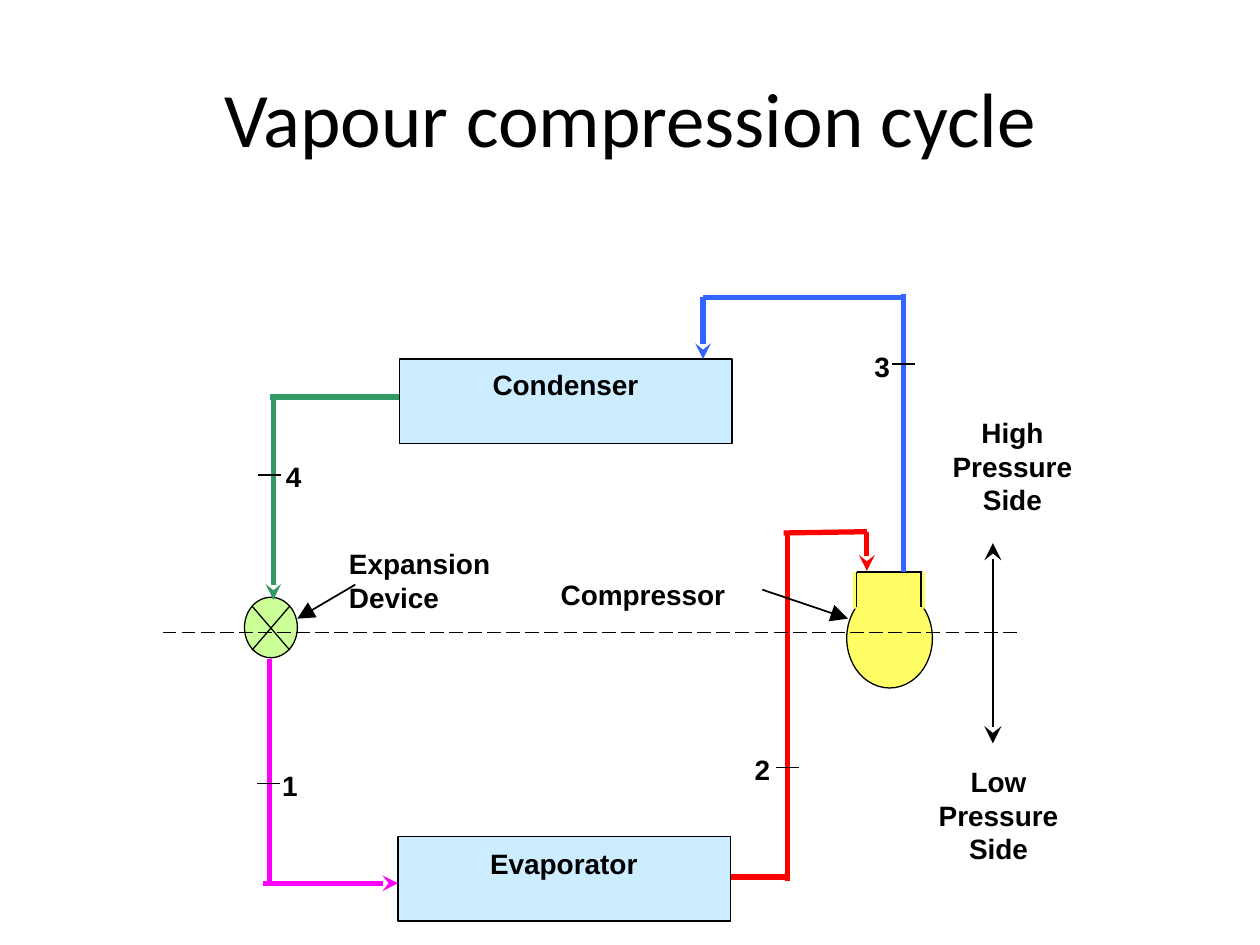
"""Build the vapour compression cycle slide."""
from lxml.etree import SubElement
from pptx import Presentation
from pptx.dml.color import RGBColor
from pptx.enum.dml import MSO_LINE
from pptx.enum.shapes import MSO_CONNECTOR, MSO_SHAPE
from pptx.enum.text import MSO_ANCHOR, PP_ALIGN
from pptx.oxml.ns import qn
from pptx.util import Inches, Pt

BLACK, GREEN, BLUE = "000000", "329865", "3265FF"
RED, MAGENTA = "FF0000", "FF00FF"
ICE, LIME, YELLOW = "CCECFF", "CCFF98", "FFFF65"
LABEL_FONT = {"name": "Arial", "size": Pt(16), "bold": True}
TITLE_FONT = {"name": "Calibri", "size": Pt(44), "bold": False}
NO_MARGINS = {"margin_left": Inches(0.01), "margin_top": 0,
              "margin_right": 0, "margin_bottom": 0, "word_wrap": True}

prs = Presentation()
prs.slide_width, prs.slide_height = Inches(10), Inches(7.5)
slide = prs.slides.add_slide(prs.slide_layouts[6])
shapes = slide.shapes


def add_line(points, color=BLACK, width=0.75, head=None, tail=None, size="med"):
    line = shapes.add_connector(MSO_CONNECTOR.STRAIGHT, *map(Inches, points))
    line.line.color.rgb = RGBColor.from_string(color)
    line.line.width = Pt(width)
    for end, kind in (("a:headEnd", head), ("a:tailEnd", tail)):
        if kind:
            SubElement(line.line._get_or_add_ln(), qn(end), type=kind, w=size, len=size)
    SubElement(line._element.spPr, qn("a:effectLst"))
    return line


def add_text(text, place, font_format, align, anchor=MSO_ANCHOR.TOP):
    frame = shapes.add_textbox(*map(Inches, place)).text_frame
    for key, value in NO_MARGINS.items():
        setattr(frame, key, value)
    frame.vertical_anchor = anchor
    paragraph = frame.paragraphs[0]
    paragraph.alignment = align
    run = paragraph.add_run()
    run.text = text
    for key, value in font_format.items():
        setattr(run.font, key, value)
    run.font.color.rgb = RGBColor.from_string(BLACK)
    return paragraph


add_text("Vapour compression cycle", (0.5, 0.3, 9, 1.25), TITLE_FONT,
         PP_ALIGN.CENTER, MSO_ANCHOR.MIDDLE)

for preset, place, fill, outlined in (
    (MSO_SHAPE.RECTANGLE, (3.17, 2.85, 2.64, 0.67), ICE, True),
    (MSO_SHAPE.RECTANGLE, (3.16, 6.64, 2.64, 0.67), ICE, True),
    (MSO_SHAPE.OVAL, (1.94, 4.74, 0.42, 0.48), LIME, True),
    (MSO_SHAPE.OVAL, (6.72, 4.67, 0.68, 0.79), YELLOW, True),
    (MSO_SHAPE.RECTANGLE, (6.77, 4.54, 0.57, 0.29), YELLOW, False),
):
    part = shapes.add_shape(preset, *map(Inches, place))
    part.shadow.inherit = False
    part.fill.solid()
    part.fill.fore_color.rgb = RGBColor.from_string(fill)
    if outlined:
        part.line.color.rgb = RGBColor.from_string(BLACK)
        part.line.width = Pt(0.75)
    else:
        part.line.fill.background()

valve_cross = [(2, 4.81, 2.3, 5.16), (2.3, 4.81, 2, 5.16)]
compressor_neck = [(6.8, 4.82, 6.8, 4.54), (7.31, 4.82, 7.31, 4.54),
                   (6.8, 4.54, 7.32, 4.54)]
for points in valve_cross + compressor_neck:
    add_line(points)

for points, color, tail in (
    ((2.14, 5.23, 2.14, 7.01), MAGENTA, None),
    ((2.09, 7.01, 3.16, 7.01), MAGENTA, "stealth"),
    ((3.17, 3.15, 2.14, 3.15), GREEN, None),
    ((2.17, 3.15, 2.17, 4.76), GREEN, "stealth"),
    ((5.8, 6.96, 6.26, 6.96), RED, None),
    ((6.25, 6.99, 6.25, 4.22), RED, None),
    ((6.22, 4.23, 6.88, 4.22), RED, None),
    ((6.88, 4.22, 6.88, 4.53), RED, "stealth"),
    ((7.17, 4.54, 7.17, 2.33), BLUE, None),
    ((7.18, 2.36, 5.58, 2.36), BLUE, None),
    ((5.58, 2.36, 5.58, 2.85), BLUE, "stealth"),
):
    add_line(points, color, 3, tail=tail)

pressure_divide = add_line((1.29, 5.02, 8.07, 5.02), width=1)
pressure_divide.line.dash_style = MSO_LINE.LONG_DASH
add_line((7.88, 4.31, 7.88, 5.9), width=1, head="stealth", tail="stealth", size="lg")
for pointer in ((6.05, 4.68, 6.73, 4.91), (2.82, 4.64, 2.36, 4.91)):
    add_line(pointer, width=1, tail="triangle", size="lg")

for number, number_left, number_top, tick_left, tick_top in (
    ("1", 2.23, 6.1, 2.04, 6.22),
    ("2", 5.98, 5.97, 6.16, 6.09),
    ("3", 6.93, 2.77, 7.08, 2.89),
    ("4", 2.26, 3.65, 2.05, 3.77),
):
    add_line((tick_left, tick_top, tick_left + 0.18, tick_top))
    add_text(number, (number_left, number_top, 0.15, 0.25), LABEL_FONT, PP_ALIGN.LEFT)

for name, place, align in (
    ("Condenser", (3.9, 2.92, 1.2, 0.25), PP_ALIGN.LEFT),
    ("Evaporator", (3.88, 6.72, 1.2, 0.25), PP_ALIGN.LEFT),
    ("Compressor", (4.44, 4.58, 1.35, 0.25), PP_ALIGN.LEFT),
    ("High Pressure Side", (7.54, 3.3, 0.98, 0.78), PP_ALIGN.CENTER),
    ("Low Pressure Side", (7.43, 6.07, 0.98, 0.78), PP_ALIGN.CENTER),
):
    add_text(name, place, LABEL_FONT, align)
expansion = add_text("Expansion Device", (2.76, 4.34, 1.18, 0.51), LABEL_FONT, PP_ALIGN.LEFT)
expansion.line_spacing = Pt(19.1)

prs.save("out.pptx")
